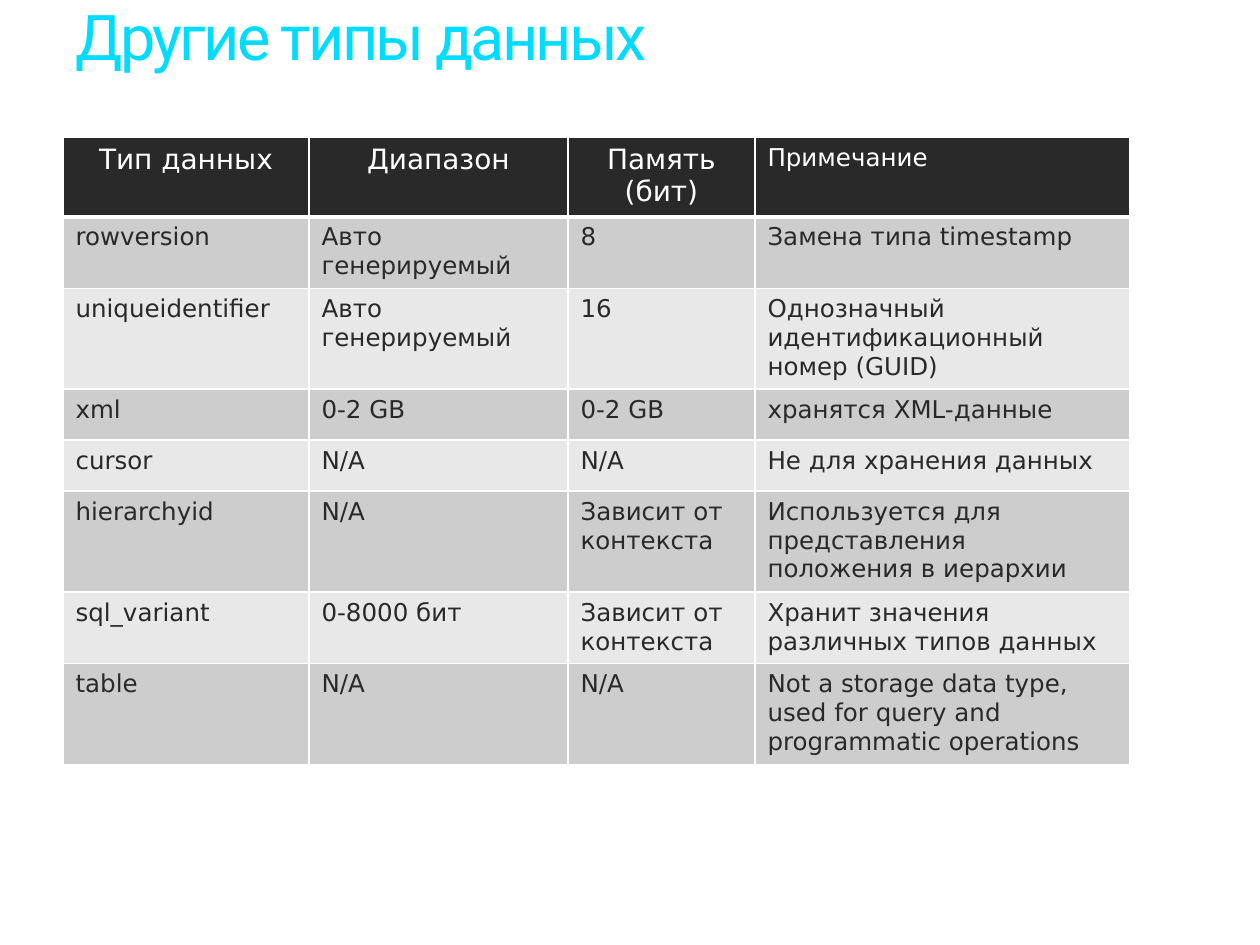
from dataclasses import dataclass

from lxml.etree import SubElement
from pptx import Presentation
from pptx.dml.color import RGBColor
from pptx.enum.text import MSO_ANCHOR, PP_ALIGN
from pptx.oxml.ns import qn
from pptx.util import Emu, Pt

PX = 914400 // 126

TITLE = "Другие типы данных"
HEADER = ("Тип данных", "Диапазон", "Память (бит)", "Примечание")
ROWS = [
    ("rowversion", "Авто генерируемый", "8", "Замена типа timestamp"),
    ("uniqueidentifier", "Авто генерируемый", "16",
     "Однозначный идентификационный номер (GUID)"),
    ("xml", "0-2 GB", "0-2 GB", "хранятся XML-данные"),
    ("cursor", "N/A", "N/A", "Не для хранения данных"),
    ("hierarchyid", "N/A", "Зависит от контекста",
     "Используется для представления положения в иерархии"),
    ("sql_variant", "0-8000 бит", "Зависит от контекста",
     "Хранит значения различных типов данных"),
    ("table", "N/A", "N/A",
     "Not a storage data type, used for query and programmatic operations"),
]
COLUMN_WIDTHS = (246, 259, 187, 375)
ROW_HEIGHT = 51


@dataclass(frozen=True)
class Theme:
    title_font: str = "Roboto"
    table_font: str = "DejaVu Sans"
    title: str = "00DCFF"
    dark: str = "292929"
    light: str = "FFFFFF"
    bands: tuple = ("CDCDCD", "E8E8E8")
    title_size: int = 36
    header_size: int = 16
    body_size: int = 14


THEME = Theme()


def px(length):
    return Emu(length * PX)


def style(span, name, size, color):
    span.font.name = name
    span.font.size = Pt(size)
    span.font.color.rgb = RGBColor.from_string(color)


def add_title(page):
    box = page.shapes.add_textbox(px(63), px(0), px(1071), px(102))
    frame = box.text_frame
    frame.word_wrap = True
    frame.vertical_anchor = MSO_ANCHOR.TOP
    frame.text = TITLE
    para = frame.paragraphs[0]
    para.line_spacing = 0.9
    span = para.runs[0]
    style(span, THEME.title_font, THEME.title_size, THEME.title)
    span.font._element.set("spc", "-150")


def add_borders(cell):
    """Outline a header cell, with a heavier line below it."""
    properties = cell._tc.get_or_add_tcPr()
    for side, width in (("L", 1), ("R", 1), ("T", 1), ("B", 3)):
        line = SubElement(properties, qn(f"a:ln{side}"), w=str(Pt(width)))
        fill = SubElement(line, qn("a:solidFill"))
        SubElement(fill, qn("a:srgbClr"), val=THEME.light)


def fill_cell(cell, text, fill, color, size):
    cell.fill.solid()
    cell.fill.fore_color.rgb = RGBColor.from_string(fill)
    cell.text = text
    span = cell.text_frame.paragraphs[0].runs[0]
    style(span, THEME.table_font, size, color)
    span.font.bold = False


def add_types_table(page):
    table = page.shapes.add_table(
        len(ROWS) + 1, len(HEADER), px(63), px(137),
        px(sum(COLUMN_WIDTHS)), px(ROW_HEIGHT * (len(ROWS) + 1))).table
    for column, width in zip(table.columns, COLUMN_WIDTHS):
        column.width = px(width)
    for index, text in enumerate(HEADER):
        cell = table.cell(0, index)
        is_note = index == len(HEADER) - 1
        add_borders(cell)
        fill_cell(cell, text, THEME.dark, THEME.light,
                  THEME.body_size if is_note else THEME.header_size)
        if not is_note:
            cell.text_frame.paragraphs[0].alignment = PP_ALIGN.CENTER
    for number, values in enumerate(ROWS):
        for index, text in enumerate(values):
            fill_cell(table.cell(number + 1, index), text,
                      THEME.bands[number % 2], THEME.dark, THEME.body_size)


def main():
    deck = Presentation()
    deck.slide_width, deck.slide_height = px(1260), px(945)
    page = deck.slides.add_slide(deck.slide_layouts[6])
    add_title(page)
    add_types_table(page)
    deck.save("out.pptx")


if __name__ == "__main__":
    main()
